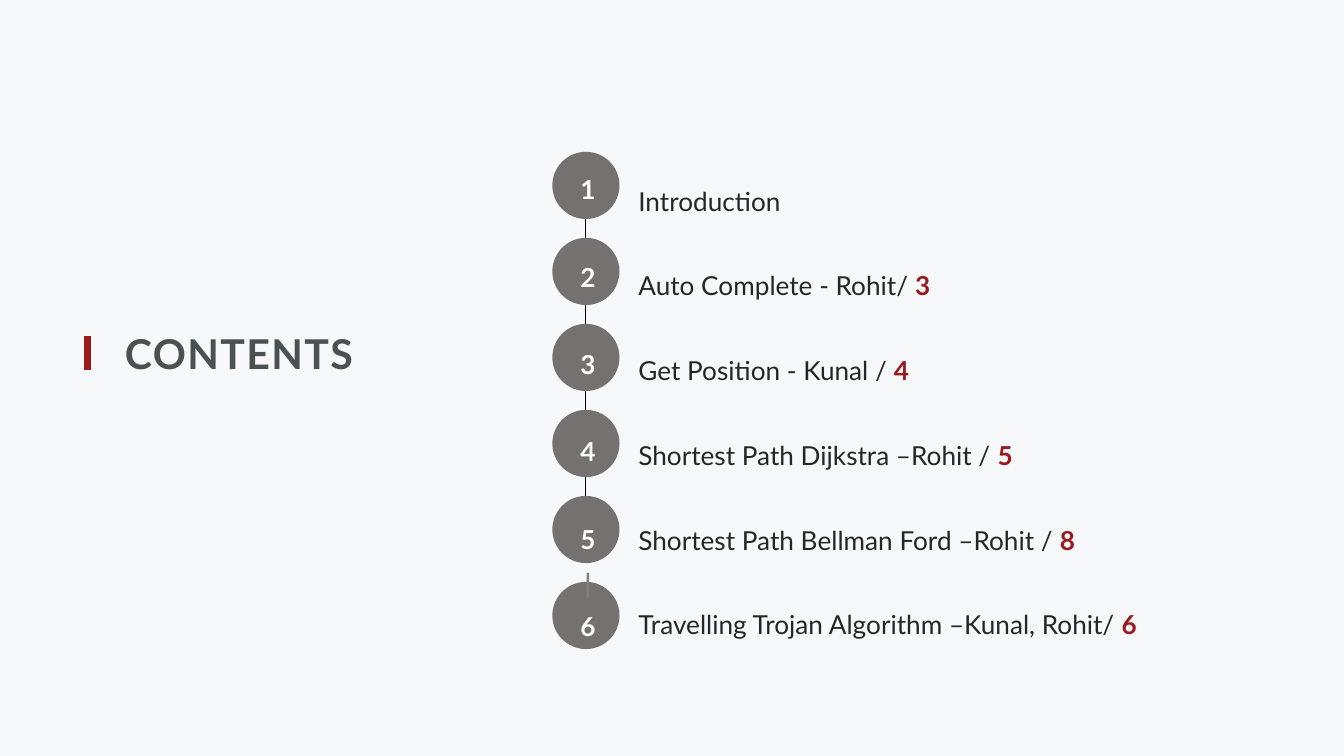
from lxml import etree
from pptx import Presentation
from pptx.dml.color import RGBColor
from pptx.enum.shapes import MSO_CONNECTOR, MSO_SHAPE
from pptx.enum.text import MSO_ANCHOR, PP_ALIGN
from pptx.oxml.ns import qn
from pptx.util import Inches, Pt

LINE, OVAL = MSO_CONNECTOR.STRAIGHT, MSO_SHAPE.OVAL
TOP, LEFT, CENTER = MSO_ANCHOR.TOP, PP_ALIGN.LEFT, PP_ALIGN.CENTER
RED, GRAY, DARK, WHITE = "991B1E", "767171", "262626", "FFFFFF"
CELL = 0.1  # inches per grid column and row


def rgb(code):
    return RGBColor.from_string(code)


def grid(*cells):
    return [Inches(n * CELL) for n in cells]


class Deck:
    font = "Lato"

    def __init__(self, cols, rows, back):
        self.prs = Presentation()
        self.prs.slide_width, self.prs.slide_height = grid(cols, rows)
        self.slide = self.prs.slides.add_slide(self.prs.slide_layouts[5])
        fill = self.slide.background.fill
        fill.solid()
        fill.fore_color.rgb = rgb(back)

    def style(self, run, size, color, bold=False):
        font = run.font
        font.name, font.size, font.bold = self.font, Pt(size), bold
        font.color.rgb = rgb(color)

    def frame(self, shape):
        frame = shape.text_frame
        frame.margin_left = frame.margin_right = 0
        frame.margin_top = frame.margin_bottom = 0
        frame.word_wrap, frame.vertical_anchor = True, TOP
        return frame

    def title(self, text, box, color):
        shape = self.slide.shapes.title
        shape.left, shape.top, shape.width, shape.height = grid(*box)
        frame = self.frame(shape)
        frame.text = text
        para = frame.paragraphs[0]
        para.alignment = LEFT
        run = para.runs[0]
        self.style(run, 22, color, True)
        run.font._element.set("spc", "80")

    def line(self, start, end, color, width):
        line = self.slide.shapes.add_connector(LINE, *grid(*start, *end))
        line.line.color.rgb = rgb(color)
        line.line.width = Pt(width)
        etree.SubElement(line._element.spPr, qn("a:effectLst"))

    def disc(self, left, top, size, color):
        disc = self.slide.shapes.add_shape(OVAL, *grid(left, top, size, size))
        disc.shadow.inherit = False
        disc.fill.solid()
        disc.fill.fore_color.rgb = rgb(color)
        disc.line.fill.background()

    def text(self, box, paras, space, align=LEFT):
        """Each paragraph is (gap before, [(text, color, bold), ...])."""
        frame = self.frame(self.slide.shapes.add_textbox(*grid(*box)))
        for i, (gap, parts) in enumerate(paras):
            para = frame.add_paragraph() if i else frame.paragraphs[0]
            para.alignment, para.line_spacing = align, space
            para.space_before = Pt(gap)
            for words, color, bold in parts:
                run = para.add_run()
                run.text = words
                self.style(run, 14, color, bold)


def main():
    deck = Deck(100, 56.25, "F6F8FA")

    # Title with its red bar
    deck.line((6.5, 25), (6.5, 27.5), RED, 3.5)
    deck.title("CONTENTS", (9.3, 24.4, 30.3, 3.7), "4B5050")

    # Topics with page numbers
    topics = [
        ("Introduction", ""),
        ("Auto Complete - Rohit/ ", "3"),
        ("Get Position - Kunal / ", "4"),
        ("Shortest Path Dijkstra –Rohit / ", "5"),
        ("Shortest Path Bellman Ford –Rohit / ", "8"),
        ("Travelling Trojan Algorithm –Kunal, Rohit/ ", "6"),
    ]
    paras = []
    for name, page in topics:
        parts = [(name, DARK, False)]
        if page:
            parts.append((page, RED, True))
        paras.append((0, parts))
    deck.text((47.5, 9.8, 43.2, 41.8), paras, 2.7)

    # Chain of discs
    deck.line((43.6, 11.3), (43.6, 39.4), "000000", 0.5)
    for i in range(len(topics)):
        deck.disc(41.1, 11.3 + 6.4 * i, 5, GRAY)

    # Disc numbers, one empty line apart; a bar fills the last gap
    pitch = 23.4
    marks = [(pitch if n > 1 else 0, [(str(n), WHITE, True)])
             for n in range(1, len(topics))]
    marks += [(0, [("|", "808080", True)]),
              (0, [(str(len(topics)), WHITE, True)])]
    deck.text((42.4, 12, 2.7, 38.4), marks, Pt(pitch), CENTER)

    deck.prs.save("out.pptx")


if __name__ == "__main__":
    main()
